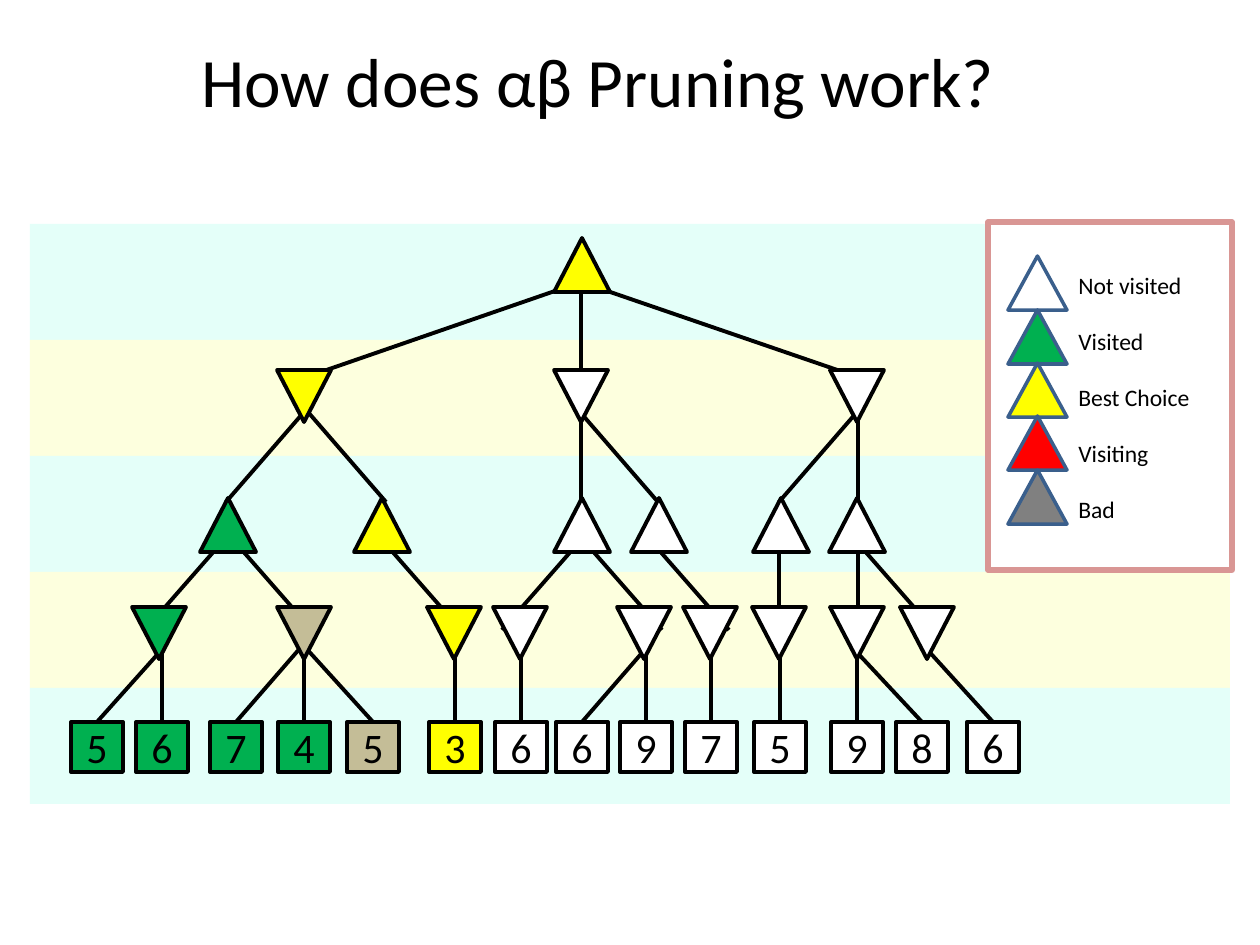
from lxml import etree
from pptx import Presentation
from pptx.dml.color import RGBColor
from pptx.enum.shapes import MSO_CONNECTOR, MSO_SHAPE
from pptx.enum.text import MSO_ANCHOR, PP_ALIGN
from pptx.oxml.ns import qn
from pptx.util import Emu, Pt

EMU_PER_PX = 914400 / 126
FONT = "Calibri"
BLACK, WHITE, GREY, RED = "000000", "FFFFFF", "808080", "FF0000"
GREEN, YELLOW, TAN = "00B050", "FFFF00", "C4BD97"
MAX_BAND, MIN_BAND = "E4FFF9", "FDFFDE"
LEGEND_EDGE, LEGEND_LINE = "D99694", "3A5F8C"

# Triangle rows: top, points down, [(left, fill)]
NODE_ROWS = [
    (238, False, [(554, YELLOW)]),
    (370, True, [(277, YELLOW), (554, WHITE), (830, WHITE)]),
    (498, False, [(200, GREEN), (354, YELLOW), (554, WHITE), (631, WHITE),
                  (753, WHITE), (829, WHITE)]),
    (607, True, [(132, GREEN), (277, TAN), (427, YELLOW), (493, WHITE), (617, WHITE),
                 (683, WHITE), (752, WHITE), (830, WHITE), (900, WHITE)]),
]

# Leaves: left, value, fill, x where the branch starts
LEAF_START_Y = 646
LEAVES = [
    (71, "5", GREEN, 165), (136, "6", GREEN, 162), (210, "7", GREEN, 302),
    (278, "4", GREEN, 304), (347, "5", TAN, 304), (429, "3", YELLOW, 455),
    (495, "6", WHITE, 521), (556, "6", WHITE, 648), (620, "9", WHITE, 646),
    (685, "7", WHITE, 711), (754, "5", WHITE, 780), (831, "9", WHITE, 857),
    (896, "8", WHITE, 851), (967, "6", WHITE, 924),
]

# Branches between triangles: start y, end y, [(start x, end x)]
STEP = 78
BRANCH_ROWS = [
    (282, 374, [(581, 315), (581, 581), (581, 849)]),
    (412, 502, [(304, 304 - STEP), (308, 308 + STEP), (581, 581), (580, 580 + STEP),
                (857, 857 - STEP), (858, 858)]),
    (541, 630, [(223, 223 - STEP), (234, 234 + STEP), (383, 383 + STEP),
                (580, 580 - STEP), (584, 584 + STEP), (651, 651 + STEP),
                (779, 779), (856, 856 + STEP), (858, 858)]),
]

LEGEND = [("Not visited", WHITE), ("Visited", GREEN), ("Best Choice", YELLOW),
          ("Visiting", RED), ("Bad", GREY)]


def px(n):
    return Emu(round(n * EMU_PER_PX))


def rgb(hex_colour):
    return RGBColor.from_string(hex_colour)


def add_run(p, text, size):
    r = p.add_run()
    r.text = text
    r.font.name = FONT
    r.font.size = Pt(size)
    r.font.color.rgb = rgb(BLACK)


def add_box(slide, kind, x, y, w, h, fill, line=None, width=2.25):
    sp = slide.shapes.add_shape(kind, px(x), px(y), px(w), px(h))
    sp.shadow.inherit = False
    sp.fill.solid()
    sp.fill.fore_color.rgb = rgb(fill)
    if line:
        sp.line.color.rgb = rgb(line)
        sp.line.width = Pt(width)
    else:
        sp.line.fill.background()
    return sp


def add_branch(slide, x1, y1, x2, y2):
    line = slide.shapes.add_connector(MSO_CONNECTOR.STRAIGHT, px(x1), px(y1), px(x2), px(y2))
    line.line.color.rgb = rgb(BLACK)
    line.line.width = Pt(2.25)
    etree.SubElement(line._element.spPr, qn("a:effectLst"))
    return line


def add_text_box(slide, x, y, w, h):
    tf = slide.shapes.add_textbox(px(x), px(y), px(w), px(h)).text_frame
    tf.word_wrap = True
    return tf


def add_title(slide):
    tf = add_text_box(slide, 55, 39, 1086, 82)
    tf.vertical_anchor = MSO_ANCHOR.MIDDLE
    p = tf.paragraphs[0]
    p.alignment = PP_ALIGN.CENTER
    add_run(p, "How does αβ Pruning work?", 39.6)


def add_bands(slide):
    for i in range(5):
        add_box(slide, MSO_SHAPE.RECTANGLE, 30, 224 + 116 * i, 1200, 116,
                MIN_BAND if i % 2 else MAX_BAND)


def add_leaf(slide, x, value, fill):
    leaf = add_box(slide, MSO_SHAPE.RECTANGLE, x, 722, 52, 50, fill, BLACK)
    tf = leaf.text_frame
    tf.margin_left = tf.margin_right = tf.margin_top = tf.margin_bottom = 0
    tf.vertical_anchor = MSO_ANCHOR.MIDDLE
    p = tf.paragraphs[0]
    p.alignment = PP_ALIGN.CENTER
    add_run(p, value, 24)
    return leaf


def add_tree(slide):
    for y1, y2, branches in BRANCH_ROWS:
        for x1, x2 in branches:
            add_branch(slide, x1, y1, x2, y2)
    for x, value, fill, start_x in LEAVES:
        leaf = add_leaf(slide, x, value, fill)
        add_branch(slide, start_x, LEAF_START_Y, x + 26, 722).end_connect(leaf, 0)
    for y, down, nodes in NODE_ROWS:
        for x, fill in nodes:
            w, h = (54, 52) if down else (56, 54)
            node = add_box(slide, MSO_SHAPE.ISOSCELES_TRIANGLE, x, y, w, h, fill, BLACK)
            node.rotation = 180 if down else 0


def add_legend(slide):
    add_box(slide, MSO_SHAPE.RECTANGLE, 988, 222, 244, 348, WHITE, LEGEND_EDGE, 3)
    tf = add_text_box(slide, 1066, 265, 151, 271)
    for i, (label, fill) in enumerate(LEGEND):
        add_box(slide, MSO_SHAPE.ISOSCELES_TRIANGLE, 1008, round(256 + 53.5 * i), 59, 54,
                fill, LEGEND_LINE, 2)
        p = tf.add_paragraph() if i else tf.paragraphs[0]
        if i:
            p.space_before = Pt(15.8)
        add_run(p, label, 13.5)


def main():
    prs = Presentation()
    prs.slide_width, prs.slide_height = px(1260), px(945)
    slide = prs.slides.add_slide(prs.slide_layouts[6])
    add_bands(slide)
    add_tree(slide)
    add_legend(slide)
    add_title(slide)
    prs.save("out.pptx")


if __name__ == "__main__":
    main()
